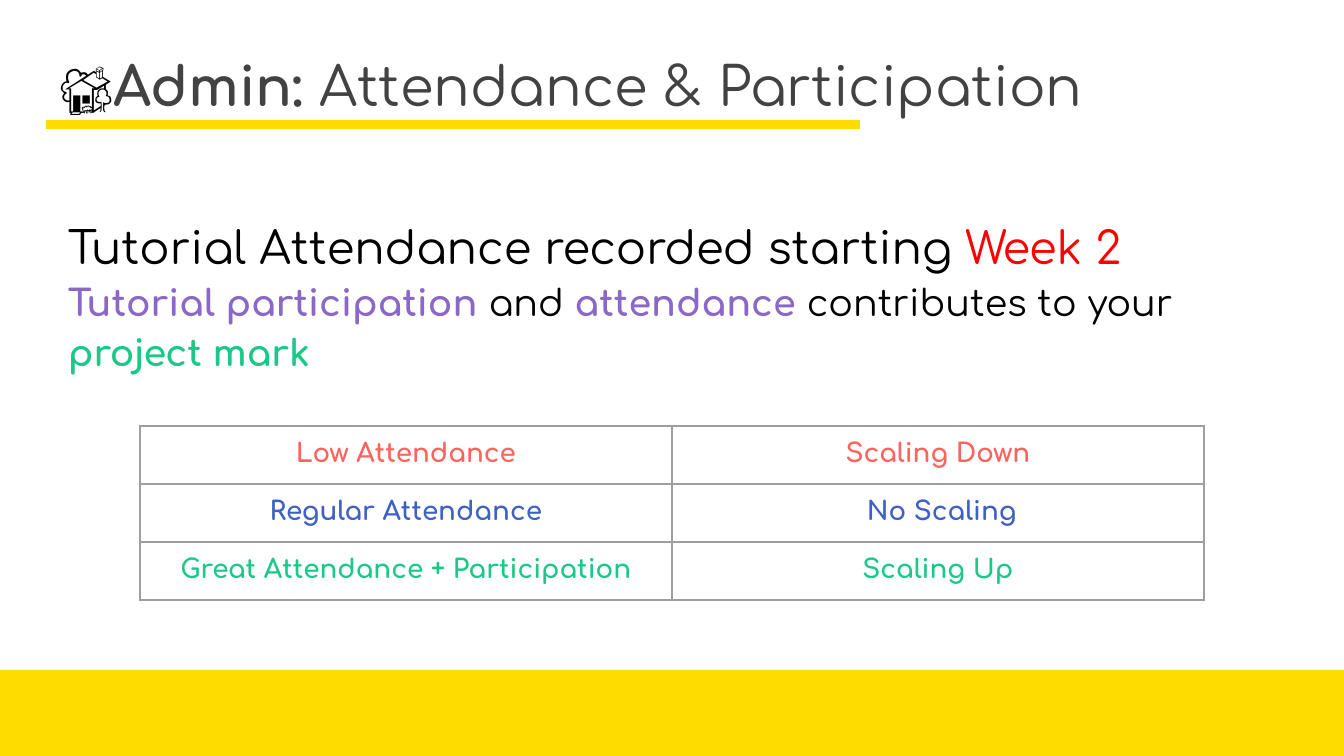
from typing import NamedTuple

import lxml.etree
import pptx
import pptx.dml.color
import pptx.enum.shapes
import pptx.enum.text
import pptx.oxml.ns
import pptx.util

RGBColor = pptx.dml.color.RGBColor
EMU_PER_PX = 914400 / 134.4
PADDING = 13
FONT = "Comfortaa"

BLACK = RGBColor(0x00, 0x00, 0x00)
CHARCOAL = RGBColor(0x42, 0x42, 0x42)
YELLOW = RGBColor(0xFF, 0xDC, 0x00)
RED = RGBColor(0xFF, 0x00, 0x00)
PURPLE = RGBColor(0x8A, 0x68, 0xC8)
CORAL = RGBColor(0xFF, 0x63, 0x5D)
BLUE = RGBColor(0x3F, 0x61, 0xC4)
GREEN = RGBColor(0x1A, 0xC9, 0x87)
GREY = RGBColor(0x9E, 0x9E, 0x9E)


class Area(NamedTuple):
    left: int
    top: int
    width: int
    height: int


class Span(NamedTuple):
    text: str
    color: RGBColor
    bold: bool = False
    font: str = FONT
    size: float | None = None


class Line(NamedTuple):
    size: float
    spacing: float
    spans: list[Span]


class Outcome(NamedTuple):
    attendance: str
    scaling: str
    color: RGBColor


BARS = [Area(0, 670, 1344, 86), Area(46, 120, 814, 9)]
TITLE = [
    Line(29, 1, [
        Span("🏡", BLACK, font="Arial", size=28),
        Span("Admin: ", CHARCOAL, True),
        Span("Attendance & Participation", CHARCOAL),
    ])
]
BODY = [
    Line(24, 1.5, [
        Span("Tutorial Attendance recorded starting ", BLACK),
        Span("Week 2", RED),
    ]),
    Line(19.5, 1.15, [
        Span("Tutorial participation ", PURPLE, True),
        Span("and ", BLACK),
        Span("attendance ", PURPLE, True),
        Span("contributes to your ", BLACK),
        Span("project mark", GREEN, True),
    ]),
]
OUTCOMES = [
    Outcome("Low Attendance", "Scaling Down", CORAL),
    Outcome("Regular Attendance", " No Scaling", BLUE),
    Outcome("Great Attendance + Participation", "Scaling Up", GREEN),
]


def px(length: int) -> pptx.util.Emu:
    return pptx.util.Emu(round(length * EMU_PER_PX))


def add_bar(page, area: Area) -> None:
    bar = page.shapes.add_shape(
        pptx.enum.shapes.MSO_SHAPE.RECTANGLE, *map(px, area)
    )
    bar.shadow.inherit = False
    bar.fill.solid()
    bar.fill.fore_color.rgb = YELLOW
    bar.line.fill.background()


def add_text(page, area: Area, lines: list[Line], anchor) -> None:
    frame = page.shapes.add_textbox(*map(px, area)).text_frame
    frame.word_wrap = True
    frame.vertical_anchor = anchor
    frame.margin_left = frame.margin_right = px(PADDING)
    frame.margin_top = frame.margin_bottom = px(PADDING)
    for index, line in enumerate(lines):
        para = frame.add_paragraph() if index else frame.paragraphs[0]
        para.line_spacing = line.spacing
        para.font.size = pptx.util.Pt(line.size)
        for span in line.spans:
            run = para.add_run()
            run.text = span.text
            run.font.name = span.font
            run.font.size = pptx.util.Pt(span.size or line.size)
            run.font.bold = span.bold
            run.font.color.rgb = span.color


def add_borders(cell) -> None:
    """Outline a cell; border elements must come before its fill."""
    properties = cell._tc.get_or_add_tcPr()
    qn = pptx.oxml.ns.qn
    for index, side in enumerate(("lnL", "lnR", "lnT", "lnB")):
        border = lxml.etree.Element(qn(f"a:{side}"), w=str(pptx.util.Pt(0.75)))
        fill = lxml.etree.SubElement(border, qn("a:solidFill"))
        lxml.etree.SubElement(fill, qn("a:srgbClr"), val=str(GREY))
        properties.insert(index, border)


def fill_cell(cell, text: str, color: RGBColor) -> None:
    cell.fill.background()
    cell.margin_left = cell.margin_right = px(PADDING)
    cell.margin_top = cell.margin_bottom = px(PADDING)
    para = cell.text_frame.paragraphs[0]
    para.text = text
    para.alignment = pptx.enum.text.PP_ALIGN.CENTER
    para.font.name = FONT
    para.font.size = pptx.util.Pt(14)
    para.font.bold = True
    para.font.color.rgb = color
    add_borders(cell)


def add_outcome_table(page, area: Area) -> None:
    table = page.shapes.add_table(len(OUTCOMES), 2, *map(px, area)).table
    table.first_row = table.horz_banding = False
    for row, outcome in zip(table.rows, OUTCOMES):
        fill_cell(row.cells[0], outcome.attendance, outcome.color)
        fill_cell(row.cells[1], outcome.scaling, outcome.color)


def main() -> None:
    deck = pptx.Presentation()
    deck.slide_width, deck.slide_height = px(1344), px(756)
    page = deck.slides.add_slide(deck.slide_layouts[6])
    anchors = pptx.enum.text.MSO_ANCHOR
    for bar in BARS:
        add_bar(page, bar)
    add_text(page, Area(46, 22, 1253, 108), TITLE, anchors.BOTTOM)
    add_text(page, Area(55, 180, 1267, 484), BODY, anchors.TOP)
    add_outcome_table(page, Area(140, 426, 1064, 174))
    deck.save("out.pptx")


if __name__ == "__main__":
    main()
